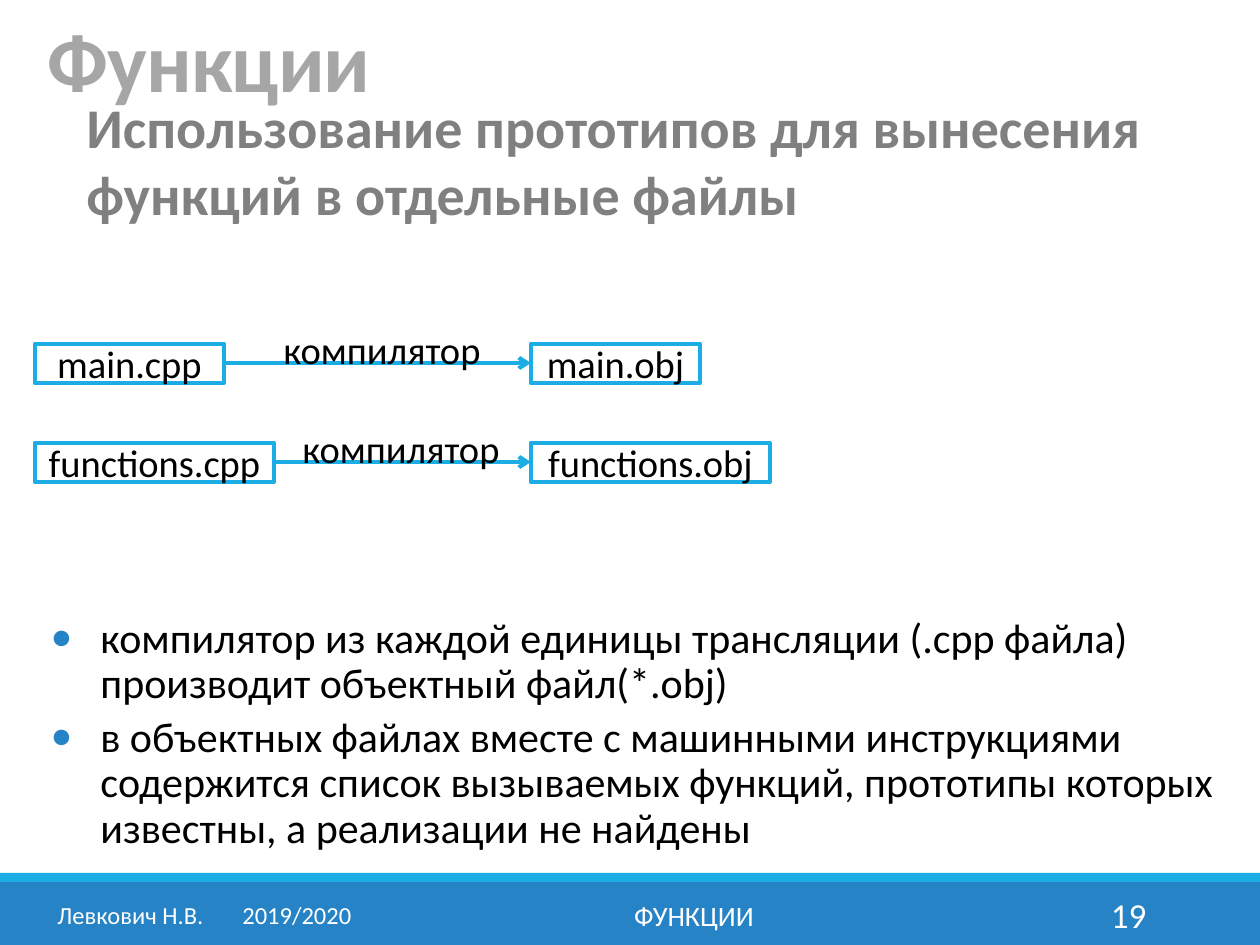
"""Builds the slide on compiling prototypes and functions in separate files."""
from lxml.etree import SubElement as Sub
from pptx import Presentation
from pptx.dml.color import RGBColor as Rgb
from pptx.enum.shapes import MSO_CONNECTOR as Conn, MSO_SHAPE as Kind
from pptx.enum.text import MSO_ANCHOR as Anchor, MSO_AUTO_SIZE as Fit, PP_ALIGN as Align
from pptx.oxml.ns import qn
from pptx.util import Pt

PX = 914400 // 126
FONT = "Calibri"
INK = {"blue": "2683C6", "sky": "1CADE4", "gray": "808080",
       "pale": "A6A6A6", "black": "000000", "white": "FFFFFF"}

BARS = [((0, 882, 1260, 63), "blue"), ((0, 873, 1260, 9), "sky")]
TITLE = "Функции"
TOPIC = "Использование прототипов для вынесения\vфункций в отдельные файлы"
STEP = "компилятор"
FLOWS = [
    {"top": 344, "src": ("main.cpp", 189), "out": ("main.obj", 169), "mid": 263},
    {"top": 443, "src": ("functions.cpp", 239), "out": ("functions.obj", 239), "mid": 282},
]
LEFT, RIGHT, TALL, WIDE = 35, 531, 39, 238
POINTS = [
    "компилятор из каждой единицы трансляции (.cpp файла)\vпроизводит объектный файл(*.obj)",
    "в объектных файлах вместе с машинными инструкциями содержится список "
    "вызываемых функций, прототипы которых известны, а реализации не найдены",
]
FOOTER = [
    ("Левкович Н.В.\t2019/2020", 40, 329, 14, Align.CENTER, 185),
    ("ФУНКЦИИ", 381, 626, 16, Align.CENTER, None),
    ("19", 1023, 136, 20, Align.RIGHT, None),
]


def emu(box):
    return [n * PX for n in box]


def color(name):
    return Rgb.from_string(INK[name])


def write(shape, texts, size, ink, align=Align.LEFT, anchor=Anchor.MIDDLE, bold=False, wrap=True):
    frame = shape.text_frame
    frame.word_wrap, frame.vertical_anchor = wrap, anchor
    frame.auto_size = Fit.NONE
    for i, text in enumerate(texts):
        para = frame.add_paragraph() if i else frame.paragraphs[0]
        para.text, para.alignment = text, align
        for run in para.runs:
            font = run.font
            font.name, font.size, font.bold = FONT, Pt(size), bold
            font.color.rgb = color(ink)
    return frame.paragraphs


def label(box, *args, **opts):
    return write(slide.shapes.add_textbox(*emu(box)), *args, **opts)


def rect(box, fill=None, line=None):
    shape = slide.shapes.add_shape(Kind.RECTANGLE, *emu(box))
    shape.shadow.inherit = False
    if fill:
        shape.fill.solid()
        shape.fill.fore_color.rgb = color(fill)
    else:
        shape.fill.background()
    if line:
        shape.line.color.rgb = color(line)
        shape.line.width = Pt(2.5)
    else:
        shape.line.fill.background()
    return shape


def arrow(start, end, y):
    link = slide.shapes.add_connector(Conn.STRAIGHT, *emu((start, y, end, y)))
    link.line.color.rgb = color("sky")
    link.line.width = Pt(2.25)
    Sub(link.line._get_or_add_ln(), qn("a:tailEnd"), type="arrow")
    Sub(link._element.spPr, qn("a:effectLst"))


def bullet(para):
    para.line_spacing, para.space_before = 0.9, Pt(4.8)
    props = para._p.get_or_add_pPr()
    props.set("marL", str(49 * PX))
    props.set("indent", str(-49 * PX))
    Sub(Sub(props, qn("a:buClr")), qn("a:srgbClr"), val=INK["blue"])
    Sub(props, qn("a:buSzPct"), val="80000")
    Sub(props, qn("a:buFont"), typeface=FONT)
    Sub(props, qn("a:buChar"), char="●")


def tab(para, pos):
    tabs = Sub(para._p.get_or_add_pPr(), qn("a:tabLst"))
    Sub(tabs, qn("a:tab"), pos=str(pos * PX), algn="l")


deck = Presentation()
deck.slide_width, deck.slide_height = emu((1260, 945))
slide = deck.slides.add_slide(deck.slide_layouts[6])

for box, fill in BARS:
    rect(box, fill)

label((74, 86, 1090, 149), [TOPIC], 32, "gray", anchor=Anchor.TOP, bold=True, wrap=False)
title = label((35, 0, 1040, 116), [TITLE], 48, "pale", anchor=Anchor.BOTTOM, bold=True)[0]
title.line_spacing = 0.85
title.runs[0].font._element.set("spc", "-50")

for flow in FLOWS:
    top = flow["top"]
    for left, (name, width) in ((LEFT, flow["src"]), (RIGHT, flow["out"])):
        write(rect((left, top, width, TALL), line="sky"), [name], 22, "black", Align.CENTER)
    arrow(LEFT + flow["src"][1], RIGHT, top + TALL // 2)
    label((flow["mid"], top - 10, WIDE, 30), [STEP], 22, "black", Align.CENTER)

for para in label((39, 611, 1221, 252), POINTS, 24, "black", anchor=Anchor.TOP):
    bullet(para)

for text, left, width, size, align, stop in FOOTER:
    para = label((left, 890, width, 50), [text], size, "white", align)[0]
    if stop:
        tab(para, stop)

deck.save("out.pptx")
